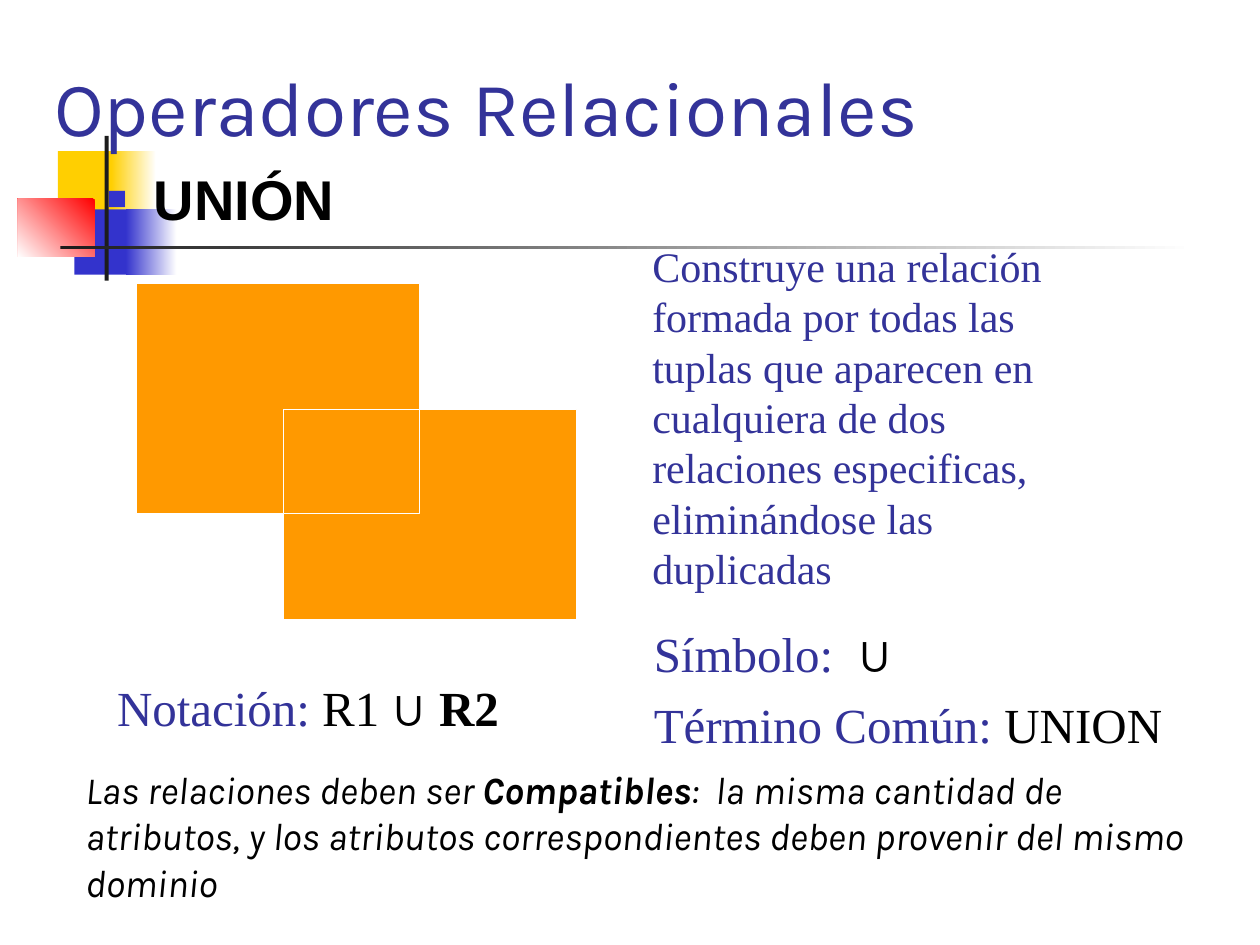
from lxml.etree import SubElement
from pptx import Presentation
from pptx.dml.color import RGBColor
from pptx.enum.shapes import MSO_SHAPE
from pptx.enum.text import MSO_ANCHOR, MSO_AUTO_SIZE, PP_ALIGN
from pptx.oxml.ns import qn
from pptx.util import Cm, Pt

HUES = {"navy": "333399", "black": "000000", "white": "FFFFFF", "gold": "FFCF01",
        "blue": "3333CC", "red": "FF0000", "ink": "1C1C1C", "orange": "FF9900"}
SERIF, SANS, KARLA = "Times New Roman", "Arial", "Karla"

# Content: each paragraph is a list of (text, overrides) runs
TITLE = [[("Operadores Relacionales", {})]]
BODY = [[("UNIÓN", {})]]
ABOUT = [[("Construye una relación formada por todas las tuplas que aparecen en "
           "cualquiera de dos relaciones especificas, eliminándose las duplicadas", {})]]
DARK = {"hue": "black"}
CUP = ("∪", {"font": SANS, "hue": "black", "bold": True})
TERMS = [[("Símbolo:  ", {}), CUP],
         [("Término Común:", {}), (" UNION", DARK)]]
USAGE = [[("Notación:", {}), (" R1 ", DARK), CUP,
          (" R2", {"hue": "black", "bold": True})]]
RULE = [[("Las relaciones deben ser ", {}), ("Compatibles", {"bold": True}),
         (":  la misma cantidad de atributos, y los atributos correspondientes "
          "deben provenir del mismo dominio", {})]]

# Ornament: box in cm, hue, angle of the fade to white (None is solid)
MARKS = [((1.17, 3.05, 1.22, 1.32), "gold", None),
         ((2.24, 3.05, 0.91, 1.32), "gold", 0),
         ((1.5, 4.22, 1.17, 1.32), "blue", None),
         ((2.54, 4.22, 1.02, 1.32), "blue", 0),
         ((0.36, 4.01, 1.55, 1.17), "red", 225),
         ((2.11, 2.74, 0.08, 2.92), "ink", None),
         ((1.22, 4.95, 22.86, 0.08), "ink", 0)]

# The two relations: left, top, right, bottom in cm
R1 = (2.74, 5.72, 8.46, 10.36)
R2 = (5.72, 8.26, 11.63, 12.5)


def rgb(hue):
    return RGBColor.from_string(HUES[hue])


def place(shape, box):
    shape.left, shape.top, shape.width, shape.height = (Cm(v) for v in box)


def rect(shapes, box, hue, fade=None, edge=None):
    shape = shapes.add_shape(MSO_SHAPE.RECTANGLE, *(Cm(v) for v in box))
    shape.shadow.inherit = False
    if fade is None:
        shape.fill.solid()
        shape.fill.fore_color.rgb = rgb(hue)
    else:
        shape.fill.gradient()
        shape.fill.gradient_angle = fade
        for stop, tone in zip(shape.fill.gradient_stops, (hue, "white")):
            stop.color.rgb = rgb(tone)
    if edge:
        shape.line.color.rgb = rgb(edge)
        shape.line.width = Pt(0.75)
    else:
        shape.line.fill.background()


def write(shape, paras, size, font=SERIF, hue="navy", bold=False, italic=False,
          gap=0, anchor=MSO_ANCHOR.TOP, wrap=True, bullet=None):
    frame = shape.text_frame
    frame.word_wrap = wrap
    frame.auto_size = MSO_AUTO_SIZE.NONE
    frame.vertical_anchor = anchor
    for i, runs in enumerate(paras):
        para = frame.add_paragraph() if i else frame.paragraphs[0]
        para.alignment = PP_ALIGN.LEFT
        para.space_before = Pt(gap if i else 0)
        if bullet:
            mark(para, **bullet)
        for text, extra in runs:
            look = {"font": font, "hue": hue, "bold": bold, **extra}
            run = para.add_run()
            run.text = text
            face = run.font
            face.size, face.name = Pt(size), look["font"]
            face.bold, face.italic = look["bold"], italic
            face.color.rgb = rgb(look["hue"])


def mark(para, char, hue, scale, indent):
    props = para._p.get_or_add_pPr()
    props.set("marL", str(Cm(indent)))
    props.set("indent", str(-Cm(indent)))
    tone = SubElement(props, qn("a:buClr"))
    SubElement(tone, qn("a:srgbClr"), val=HUES[hue])
    SubElement(props, qn("a:buSzPct"), val=str(scale * 1000))
    SubElement(props, qn("a:buFont"), typeface=SANS)
    SubElement(props, qn("a:buChar"), char=char)


def label(slide, box, paras, size, **look):
    write(slide.shapes.add_textbox(*(Cm(v) for v in box)), paras, size, **look)


def main():
    deck = Presentation()
    deck.slide_width, deck.slide_height = Cm(25.4), Cm(19.05)
    slide = deck.slides.add_slide(deck.slide_layouts[1])
    title, body = slide.placeholders[0], slide.placeholders[1]

    # Corner ornament
    for box, hue, fade in MARKS:
        rect(slide.shapes, box, hue, fade)

    # Overlapping relations and their shared part
    group = slide.shapes.add_group_shape()
    both = (*map(max, R1[:2], R2[:2]), *map(min, R1[2:], R2[2:]))
    for x, y, right, low in (R1, R2, both):
        rect(group.shapes, (x, y, right - x, low - y), "orange", edge="white")

    # Title and heading, raised above the ornament
    for shape in (title, body):
        shape.element.getparent().append(shape.element)
    place(title, (0.84, 0, 21.59, 3.18))
    write(title, TITLE, 44, font=KARLA, anchor=MSO_ANCHOR.BOTTOM)
    place(body, (1.9, 3.18, 21.59, 1.9))
    write(body, BODY, 32, font=SANS, hue="black", bold=True,
          bullet={"char": "■", "hue": "blue", "scale": 60, "indent": 0.95})

    # Explanations
    label(slide, (12.9, 4.72, 9.78, 7.37), ABOUT, 24)
    label(slide, (12.93, 12.45, 10.74, 2.87), TERMS, 28, gap=7, wrap=False)
    label(slide, (2.11, 13.54, 8.26, 2.64), USAGE, 28)
    label(slide, (1.47, 15.32, 23.29, 3.05), RULE, 22, font=KARLA, hue="black",
          italic=True, anchor=MSO_ANCHOR.MIDDLE)

    deck.save("out.pptx")


if __name__ == "__main__":
    main()
